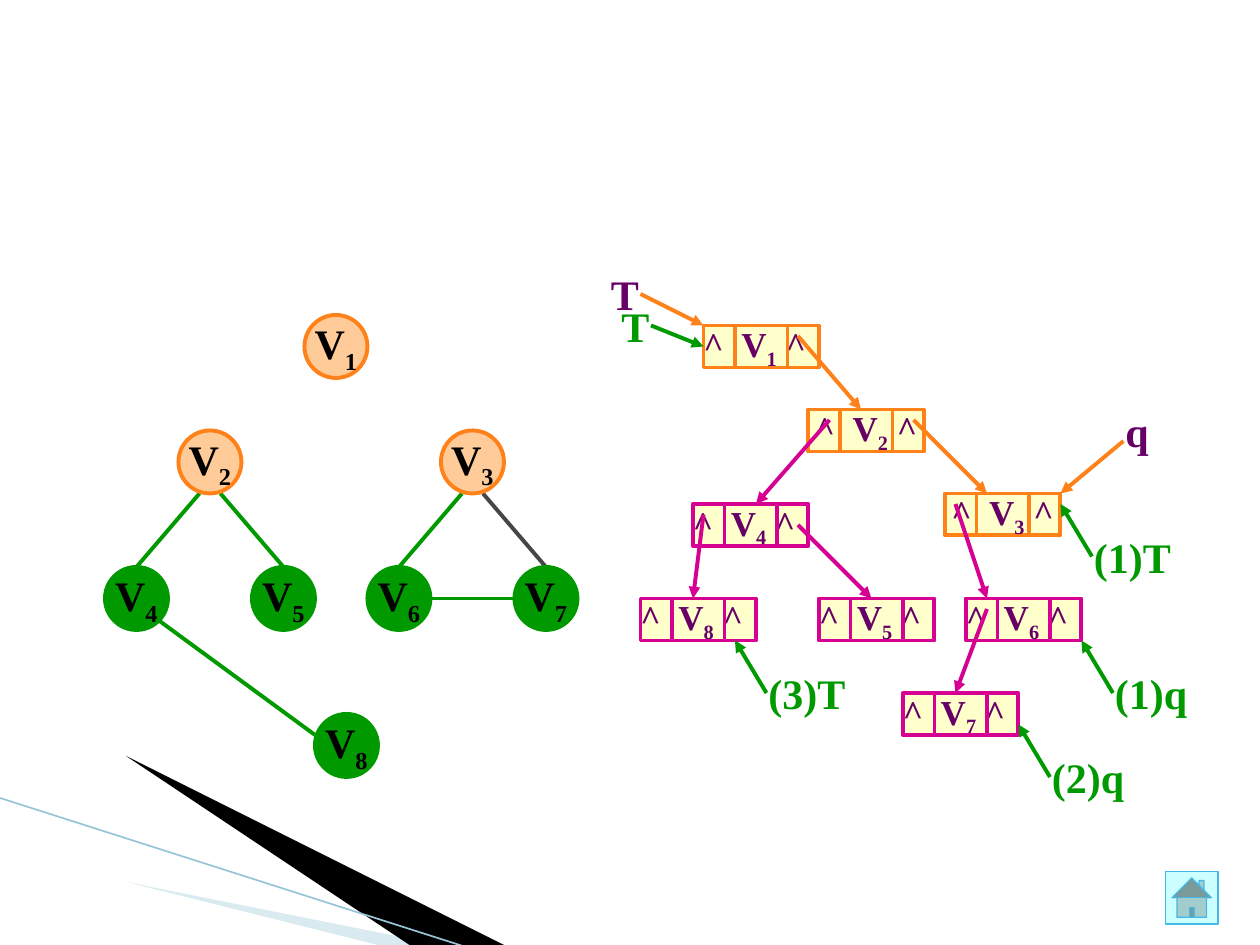
from dataclasses import dataclass
from lxml.etree import SubElement
from pptx import Presentation
from pptx.dml.color import RGBColor
from pptx.enum.shapes import MSO_CONNECTOR, MSO_SHAPE
from pptx.enum.text import MSO_ANCHOR, PP_ALIGN
from pptx.oxml.ns import qn
from pptx.util import Inches, Pt


@dataclass(frozen=True)
class Theme:
    font: str = "Times New Roman"
    big: float = 24
    small: float = 20
    line: float = 2.25
    thin: float = 0.95
    edge: float = 0.75
    orange: str = "FF8119"
    peach: str = "FFCC99"
    green: str = "009900"
    pink: str = "D60093"
    cream: str = "FFFFCC"
    plum: str = "660066"
    gray: str = "464646"
    black: str = "000000"
    pale: str = "A0CBDC"
    rim: str = "97C5D8"
    aqua: str = "CCFFFF"
    sky: str = "44B9E8"


T = Theme()
UNIT = 1 / 12
NODE, WIDE, HIGH = 6, 11, 4
CUTS = (3, 8)

NODES = [
    ("1", 29, 30, T.peach, T.orange),
    ("2", 17, 41, T.peach, T.orange),
    ("3", 42, 41, T.peach, T.orange),
    ("4", 10, 54, T.green, T.green),
    ("5", 24, 54, T.green, T.green),
    ("6", 35, 54, T.green, T.green),
    ("7", 49, 54, T.green, T.green),
    ("8", 30, 68, T.green, T.green),
]
EDGES = [
    (19, 47, 13, 54, T.green),
    (21, 47, 27, 54, T.green),
    (44, 47, 38, 54, T.green),
    (46, 47, 52, 54, T.gray),
    (41, 57, 49, 57, T.green),
    (15, 59, 30, 70, T.green),
]
CELLS = [
    ("1", 67, 31, T.orange, 0),
    ("2", 77, 39, T.orange, 0.05),
    ("3", 90, 47, T.orange, 0.05),
    ("4", 66, 48, T.pink, 0),
    ("5", 78, 57, T.pink, 0),
    ("6", 92, 57, T.pink, 0),
    ("7", 86, 66, T.pink, 0),
    ("8", 61, 57, T.pink, 0),
]
LINKS = [
    (76, 32, 82, 39, T.orange),
    (87, 40, 94, 47, T.orange),
    (79, 40, 72, 48, T.pink),
    (76, 50, 83, 57, T.pink),
    (67, 49, 66, 57, T.pink),
    (91, 48, 94, 57, T.pink),
    (94, 58, 91, 66, T.pink),
]
MARKS = [
    ("T", 57, 25, 4, T.plum, (61, 28, 67, 31, T.orange)),
    ("T", 58, 28, 5, T.green, (62, 31, 67, 33, T.green)),
    ("q", 106, 38, 5, T.plum, (107, 42, 101, 47, T.orange)),
    ("(1)T", 103, 50, 10, T.green, (104, 53, 101, 48, T.green)),
    ("(3)T", 72, 63, 10, T.green, (73, 66, 70, 61, T.green)),
    ("(1)q", 105, 63, 10, T.green, (106, 66, 103, 61, T.green)),
    ("(2)q", 99, 71, 10, T.green, (100, 74, 97, 69, T.green)),
]
WEDGES = [
    ([(0.55, 6.51), (5.95, 7.51), (4.56, 7.51)], T.pale, 40),
    ([(0.61, 6.49), (4.65, 7.51), (3.8, 7.52)], T.black, 100),
]


def grid(*nums):
    return [Inches(num * UNIT) for num in nums]


def rgb(code):
    return RGBColor.from_string(code)


def paint(shape, fill, line=None, width=T.line):
    shape.shadow.inherit = False
    shape.fill.solid()
    shape.fill.fore_color.rgb = rgb(fill)
    if line:
        shape.line.color.rgb = rgb(line)
        shape.line.width = Pt(width)
    else:
        shape.line.fill.background()


def draw(shapes, ends, color, width=T.line, arrow=False):
    line = shapes.add_connector(MSO_CONNECTOR.STRAIGHT, *ends)
    line.line.color.rgb = rgb(color)
    line.line.width = Pt(width)
    if arrow:
        SubElement(line.line._get_or_add_ln(), qn("a:tailEnd"), type="triangle")
    SubElement(line._element.spPr, qn("a:effectLst"))


def write(shape, runs, size, color, align=PP_ALIGN.LEFT):
    para = shape.text_frame.paragraphs[0]
    para.alignment = align
    for text, low in runs:
        run = para.add_run()
        run.text = text
        if low:
            run.font._element.set("baseline", "-25000")
    font = para.font
    font.name, font.size, font.bold = T.font, Pt(size), True
    font.color.rgb = rgb(color)
    return para


def node(shapes, num, col, row, fill, line):
    disc = shapes.add_shape(MSO_SHAPE.OVAL, *grid(col, row, NODE, NODE))
    paint(disc, fill, line)
    disc.text_frame.word_wrap = False
    disc.text_frame.vertical_anchor = MSO_ANCHOR.MIDDLE
    write(disc, [("V", False), (num, True)], T.big, T.black, PP_ALIGN.CENTER)


def cell(shapes, num, col, row, color, inset):
    box = shapes.add_shape(MSO_SHAPE.RECTANGLE, *grid(col, row, WIDE, HIGH))
    paint(box, T.cream, color)
    frame = box.text_frame
    frame.word_wrap = True
    frame.vertical_anchor = MSO_ANCHOR.MIDDLE
    frame.margin_left = Inches(inset)
    frame.margin_right = frame.margin_top = frame.margin_bottom = 0
    tabs = SubElement(frame.paragraphs[0]._p.get_or_add_pPr(), qn("a:tabLst"))
    SubElement(tabs, qn("a:tab"), pos=str(Inches(0.3)), algn="l")
    write(box, [("^\tV", False), (num, True), (" ^", False)], T.small, T.plum)
    for cut in CUTS:
        draw(shapes, grid(col + cut, row, col + cut, row + HIGH), color)


def mark(shapes, text, col, row, wide, color, link):
    draw(shapes, grid(*link[:4]), link[4], arrow=True)
    box = shapes.add_textbox(*grid(col, row, wide, NODE))
    box.text_frame.word_wrap = True
    write(box, [(text, False)], T.big, color)


def wedge(shapes, points, color, alpha):
    path = shapes.build_freeform(*points[0], scale=Inches(1))
    path.add_line_segments(points[1:], close=True)
    shape = path.convert_to_shape()
    paint(shape, color)
    if alpha < 100:
        tint = shape._element.spPr.find(".//" + qn("a:srgbClr"))
        SubElement(tint, qn("a:alpha"), val=str(alpha * 1000))


def main():
    deck = Presentation()
    deck.slide_width, deck.slide_height = Inches(10), Inches(7.5)
    shapes = deck.slides.add_slide(deck.slide_layouts[6]).shapes
    for item in WEDGES:
        wedge(shapes, *item)
    draw(shapes, [Inches(n) for n in (-0.01, 6.33, 3.71, 7.52)], T.rim, T.thin)
    home = shapes.add_shape(MSO_SHAPE.ACTION_BUTTON_HOME, *grid(111, 83, 5, 5))
    paint(home, T.aqua, T.sky, T.edge)
    for *ends, color in EDGES:
        draw(shapes, grid(*ends), color)
    for item in NODES:
        node(shapes, *item)
    for item in CELLS:
        cell(shapes, *item)
    for *ends, color in LINKS:
        draw(shapes, grid(*ends), color, arrow=True)
    for item in MARKS:
        mark(shapes, *item)
    deck.save("out.pptx")


if __name__ == "__main__":
    main()
